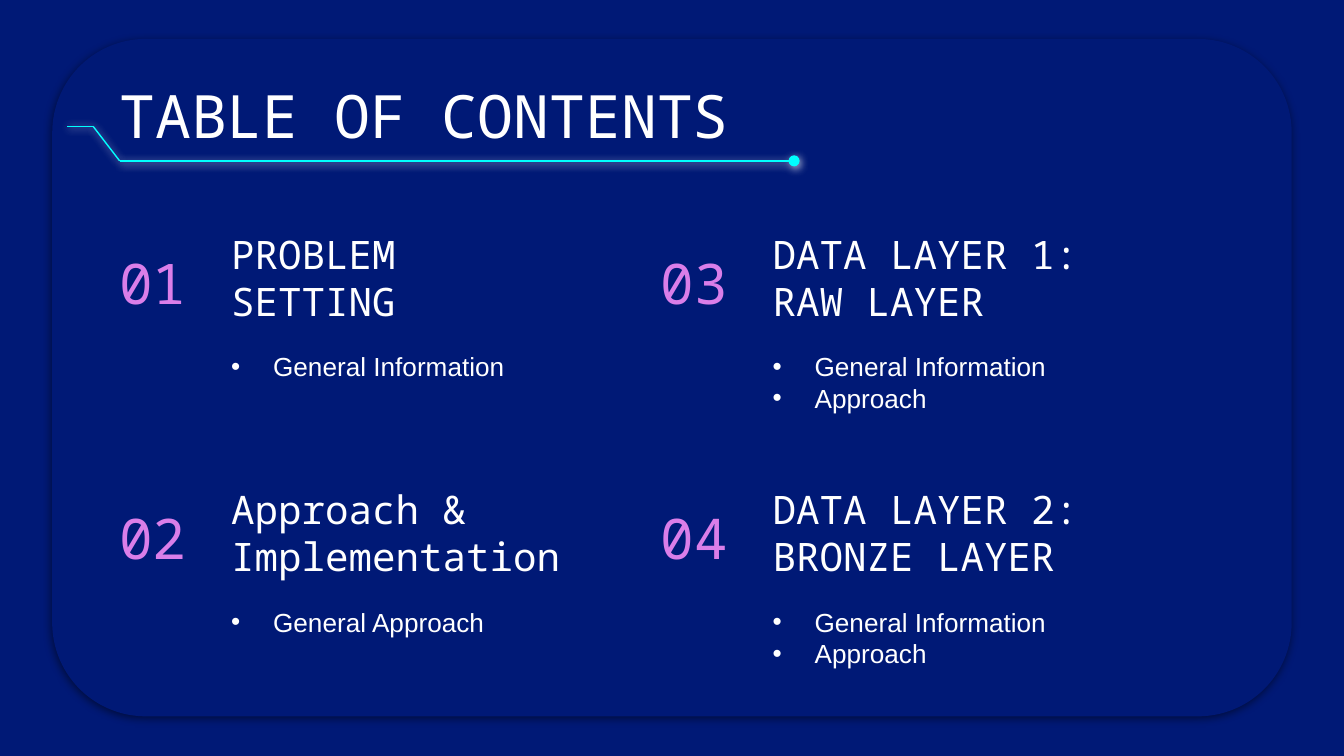
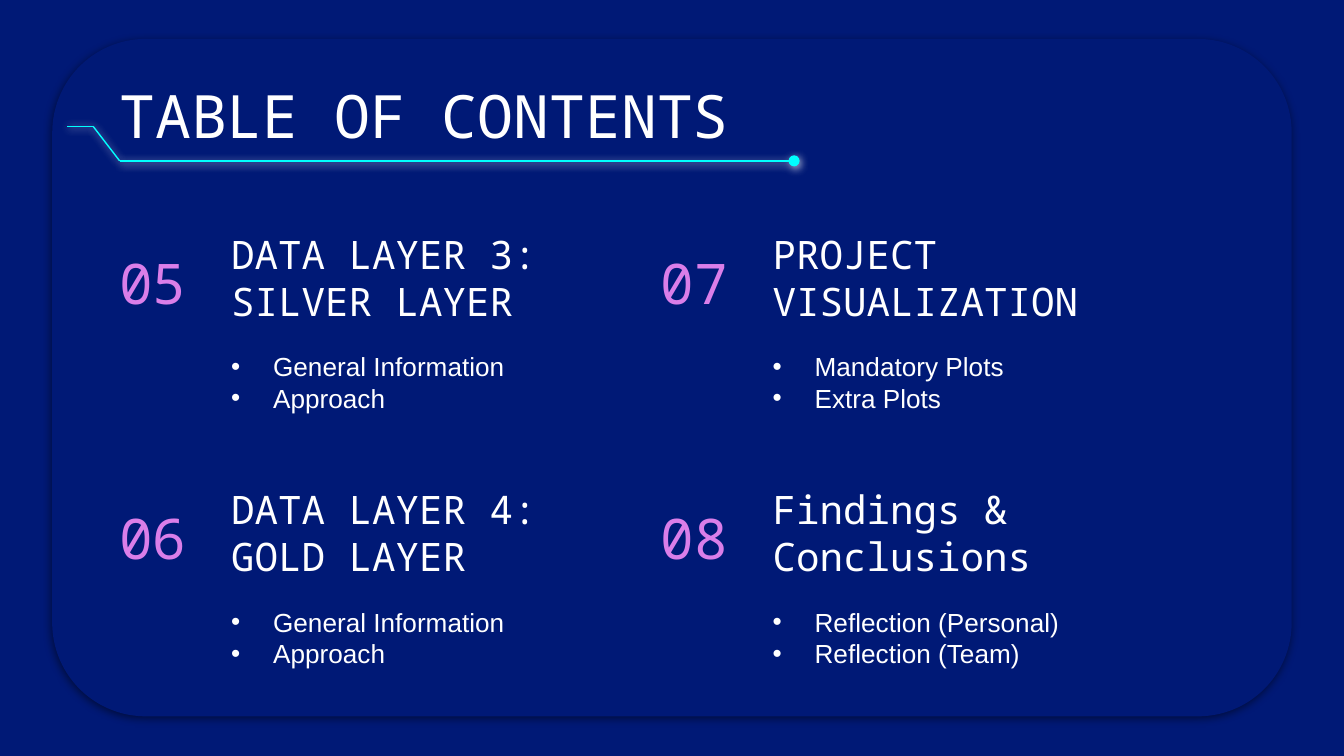
import pptx
import pptx.util
import pptx.dml.color
import pptx.enum.shapes
import pptx.enum.text
import pptx.oxml
import pptx.oxml.ns

Pt = pptx.util.Pt
Anchor = pptx.enum.text.MSO_ANCHOR
NAVY, WHITE, PINK, CYAN, BLACK = "001976", "FFFFFF", "DA7EE9", "00FFFF", "000000"
MONO, SANS = "Noto Sans Mono", "Arial"

HEADING = "TABLE OF CONTENTS"
SECTION_LEFTS = (56.9, 347)
SECTION_TOPS = (121, 257.8)
NUMBER_SIZE = 59.8
SECTION_WIDTH = 200.9

PAGES = [
    [
        ("PROBLEM SETTING", ["General Information"]),
        ("Approach & Implementation", ["General Approach"]),
        ("DATA LAYER 1: RAW LAYER", ["General Information", "Approach"]),
        ("DATA LAYER 2: BRONZE LAYER", ["General Information", "Approach"]),
    ],
    [
        ("DATA LAYER 3: SILVER LAYER", ["General Information", "Approach"]),
        ("DATA LAYER 4: GOLD LAYER", ["General Information", "Approach"]),
        ("PROJECT VISUALIZATION", ["Mandatory Plots", "Extra Plots"]),
        ("Findings & Conclusions", ["Reflection (Personal)", "Reflection (Team)"]),
    ],
]


def rgb(value):
    return pptx.dml.color.RGBColor.from_string(value)


def xml_element(markup):
    """Parse one drawing element, given without its namespace declaration."""
    name, rest = markup[1:].split(" ", 1)
    return pptx.oxml.parse_xml(f"<{name} {pptx.oxml.ns.nsdecls('a')} {rest}")


def add_shadow(item, color, opacity, distance, angle):
    item._element.spPr.append(xml_element(
        f'<a:effectLst ><a:outerShdw blurRad="{Pt(4.5)}" dist="{Pt(distance)}" '
        f'dir="{angle * 60000}" algn="bl" rotWithShape="0"><a:srgbClr val="{color}">'
        f'<a:alpha val="{opacity * 1000}"/></a:srgbClr></a:outerShdw></a:effectLst>'))


def add_bullet(para):
    indent = Pt(22.5)
    properties = para._p.get_or_add_pPr()
    properties.set("marL", str(indent))
    properties.set("indent", str(-indent))
    for markup in (f'<a:buClr ><a:srgbClr val="{WHITE}"/></a:buClr>',
                   '<a:buFont typeface="Arial"/>', '<a:buChar char="•"/>'):
        properties.append(xml_element(markup))


def add_text(page, box, lines, size, font=MONO, color=WHITE, anchor=Anchor.TOP, bullets=False):
    frame = page.shapes.add_textbox(*map(Pt, box)).text_frame
    frame.word_wrap = True
    frame.vertical_anchor = anchor
    frame.margin_left = frame.margin_right = frame.margin_top = frame.margin_bottom = Pt(7.2)
    for index, line in enumerate(lines):
        para = frame.paragraphs[0] if index == 0 else frame.add_paragraph()
        if bullets:
            add_bullet(para)
        span = para.add_run()
        span.text = line
        span.font.name = font
        span.font.size = Pt(size)
        span.font.color.rgb = rgb(color)


def add_panel(page, box):
    panel = page.shapes.add_shape(
        pptx.enum.shapes.MSO_SHAPE.ROUNDED_RECTANGLE, *map(Pt, box))
    panel.adjustments[0] = 0.138
    panel.fill.solid()
    panel.fill.fore_color.rgb = rgb(NAVY)
    panel.line.fill.background()
    add_shadow(panel, BLACK, 50, 1.5, 90)


def add_heading(page, box):
    """Write the page title and draw the circuit trace that underlines it."""
    left, top, width, height = box
    add_text(page, box, [HEADING], 32)
    bend = (left - 7, top + 32.4)
    corner = (left + 7.2, top + 50.9)
    traces = [(bend, corner), (bend, (left - 21, bend[1])), (corner, (left + 368.5, corner[1]))]
    group = page.shapes.add_group_shape()
    for start, end in traces:
        trace = group.shapes.add_connector(
            pptx.enum.shapes.MSO_CONNECTOR.STRAIGHT, *map(Pt, start + end))
        trace.line.color.rgb = rgb(CYAN)
        trace.line.width = Pt(0.75)
        add_shadow(trace, WHITE, 75, 0.8, 63)
    trace.line._get_or_add_ln().append(xml_element('<a:tailEnd type="oval" w="med" len="med"/>'))


def add_section(page, left, top, number, title, topics):
    text_left = left + NUMBER_SIZE
    add_text(page, (left, top, NUMBER_SIZE, NUMBER_SIZE), [f"{number:02}"], 30,
             color=PINK, anchor=Anchor.MIDDLE)
    add_text(page, (text_left, top, SECTION_WIDTH, NUMBER_SIZE), [title], 21,
             anchor=Anchor.BOTTOM)
    add_text(page, (text_left, top + NUMBER_SIZE, SECTION_WIDTH, 45.4), topics, 14,
             font=SANS, bullets=True)


def add_contents_page(deck, sections, first_number):
    page = deck.slides.add_slide(deck.slide_layouts[6])
    page.background.fill.solid()
    page.background.fill.fore_color.rgb = rgb(NAVY)
    add_panel(page, (28, 20.9, 664, 362.9))
    add_heading(page, (56.9, 35.3, 607, 45.4))
    for index, (title, topics) in enumerate(sections):
        column, row = divmod(index, len(SECTION_TOPS))
        add_section(page, SECTION_LEFTS[column], SECTION_TOPS[row],
                    first_number + index, title, topics)


def main():
    deck = pptx.Presentation()
    deck.slide_width, deck.slide_height = Pt(720), Pt(405)
    first_number = 1
    for sections in PAGES:
        add_contents_page(deck, sections, first_number)
        first_number += len(sections)
    deck.save("out.pptx")


if __name__ == "__main__":
    main()
